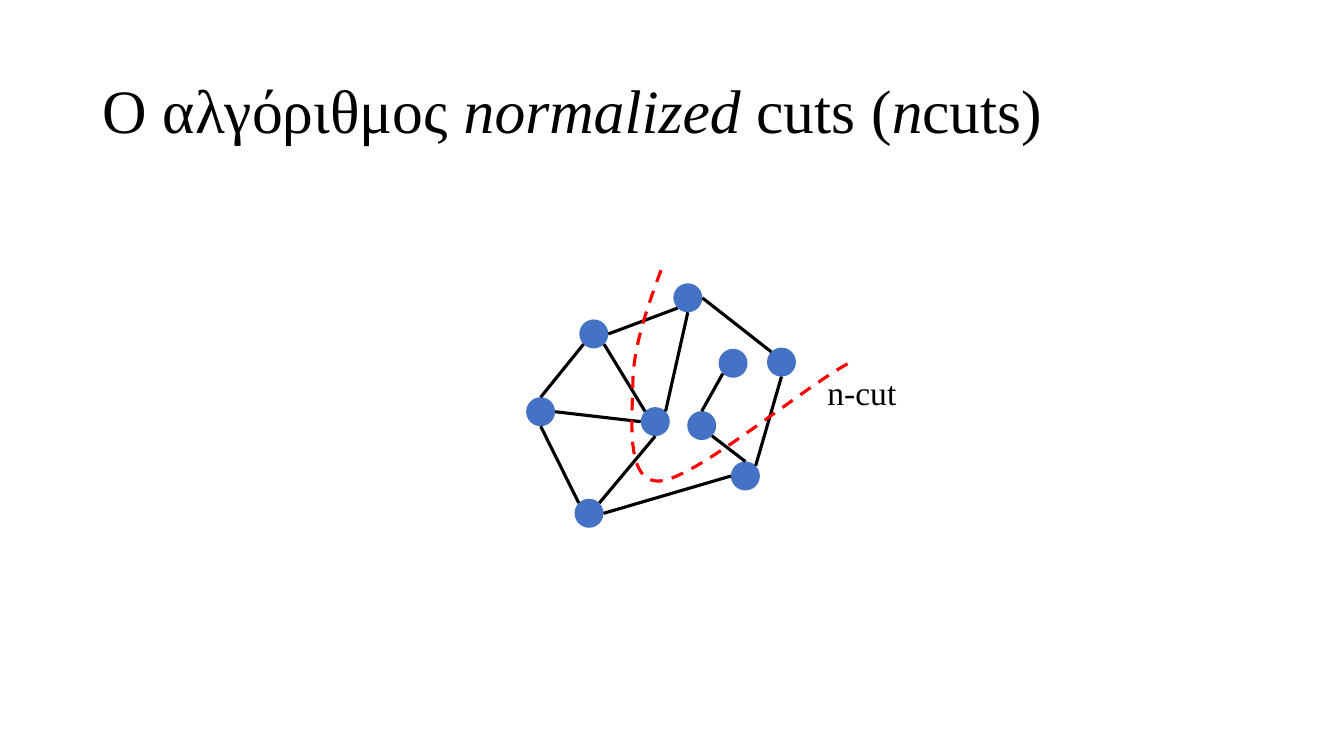
from math import cos, radians, sin

from lxml import etree
from pptx import Presentation
from pptx.dml.color import RGBColor
from pptx.enum.dml import MSO_LINE
from pptx.enum.shapes import MSO_CONNECTOR, MSO_SHAPE
from pptx.enum.text import MSO_ANCHOR, MSO_AUTO_SIZE
from pptx.oxml.ns import qn
from pptx.util import Cm, Pt

OVAL = MSO_SHAPE.OVAL
STRAIGHT = MSO_CONNECTOR.STRAIGHT
DASH = MSO_LINE.DASH
MIDDLE = MSO_ANCHOR.MIDDLE
GROW = MSO_AUTO_SIZE.SHAPE_TO_FIT_TEXT

BLACK = RGBColor(0x00, 0x00, 0x00)
BLUE = RGBColor(0x44, 0x72, 0xC4)
RED = RGBColor(0xFF, 0x00, 0x00)
FONT = "Times New Roman"

# Title runs: text, italic
TITLE = [
    ("Ο αλγόριθμος ", False),
    ("normalized ", True),
    ("cuts (", False),
    ("n", True),
    ("cuts)", False),
]
LABEL = "n-cut"

# Lengths in cm; each node is given by its left and top
SIZE = 0.73
NODES = {
    "a": (14.6, 8.05),
    "b": (17.32, 10.36),
    "c": (19.33, 8.76),
    "d": (16.97, 7.14),
    "e": (14.48, 12.57),
    "f": (13.26, 10.01),
    "g": (16.15, 10.26),
    "h": (18.11, 8.79),
    "i": (18.42, 11.63),
}
# Each edge joins two nodes, at a compass point of each
EDGES = [
    ("e", "NW", "f", "S"),
    ("f", "N", "a", "SW"),
    ("a", "E", "d", "SW"),
    ("a", "SE", "g", "NW"),
    ("e", "NE", "g", "S"),
    ("f", "E", "g", "W"),
    ("e", "E", "i", "W"),
    ("i", "N", "b", "SE"),
    ("g", "NE", "d", "S"),
    ("h", "SW", "b", "N"),
    ("i", "NE", "c", "S"),
    ("d", "E", "c", "NW"),
]
COMPASS = ["E", "NE", "N", "NW", "W", "SW", "S", "SE"]

# Start of the cut, then two control points and an end for each curve
CUT = [
    (16.66, 6.81),
    (16.31, 7.75), (15.98, 8.69), (15.95, 9.58),
    (15.95, 10.46), (15.72, 12.19), (16.64, 12.12),
    (17.55, 12.04), (20.19, 9.8), (21.41, 9.14),
]


def style(run, size, italic=False):
    font = run.font
    font.name, font.size, font.italic = FONT, Pt(size), italic
    font.color.rgb = BLACK


def rim(node, side):
    """Return the point on a node's rim at a compass point."""
    left, top = NODES[node]
    angle = radians(45 * COMPASS.index(side))
    half = SIZE / 2
    return (Cm(left + half + half * cos(angle)),
            Cm(top + half - half * sin(angle)))


def bend(shape):
    """Turn each three straight segments into one cubic curve."""
    lines = list(shape._element.iter(qn("a:lnTo")))
    for k in range(0, len(lines), 3):
        curve = etree.Element(qn("a:cubicBezTo"))
        lines[k].addprevious(curve)
        for line in lines[k:k + 3]:
            curve.append(line[0])
            line.getparent().remove(line)


def main():
    prs = Presentation()
    prs.slide_width, prs.slide_height = Cm(33.87), Cm(19.05)
    slide = prs.slides.add_slide(prs.slide_layouts[5])
    shapes = slide.shapes

    title = shapes.title
    title.left, title.top = Cm(2.34), Cm(1.02)
    title.width, title.height = Cm(29.21), Cm(3.68)
    frame = title.text_frame
    frame.vertical_anchor = MIDDLE
    para = frame.paragraphs[0]
    para.alignment = 1
    para.line_spacing = 0.9
    for text, italic in TITLE:
        run = para.add_run()
        run.text = text
        style(run, 44, italic)

    for left, top in NODES.values():
        node = shapes.add_shape(OVAL, Cm(left), Cm(top), Cm(SIZE), Cm(SIZE))
        node.shadow.inherit = False
        node.fill.solid()
        node.fill.fore_color.rgb = BLUE
        node.line.fill.background()

    for start, out, end, into in EDGES:
        edge = shapes.add_connector(
            STRAIGHT, *rim(start, out), *rim(end, into))
        edge.line.color.rgb = BLACK
        edge.line.width = Pt(2.25)
        etree.SubElement(edge._element.spPr, qn("a:effectLst"))

    points = [(Cm(x), Cm(y)) for x, y in CUT]
    path = shapes.build_freeform(*points[0])
    path.add_line_segments(points[1:], close=False)
    cut = path.convert_to_shape()
    bend(cut)
    cut.shadow.inherit = False
    cut.fill.background()
    cut.line.color.rgb = RED
    cut.line.width = Pt(2.25)
    cut.line.dash_style = DASH

    label = shapes.add_textbox(Cm(20.6), Cm(9.25), Cm(2.36), Cm(1.27))
    frame = label.text_frame
    frame.word_wrap = True
    frame.auto_size = GROW
    frame.text = LABEL
    style(frame.paragraphs[0].runs[0], 24)

    prs.save("out.pptx")


if __name__ == "__main__":
    main()
